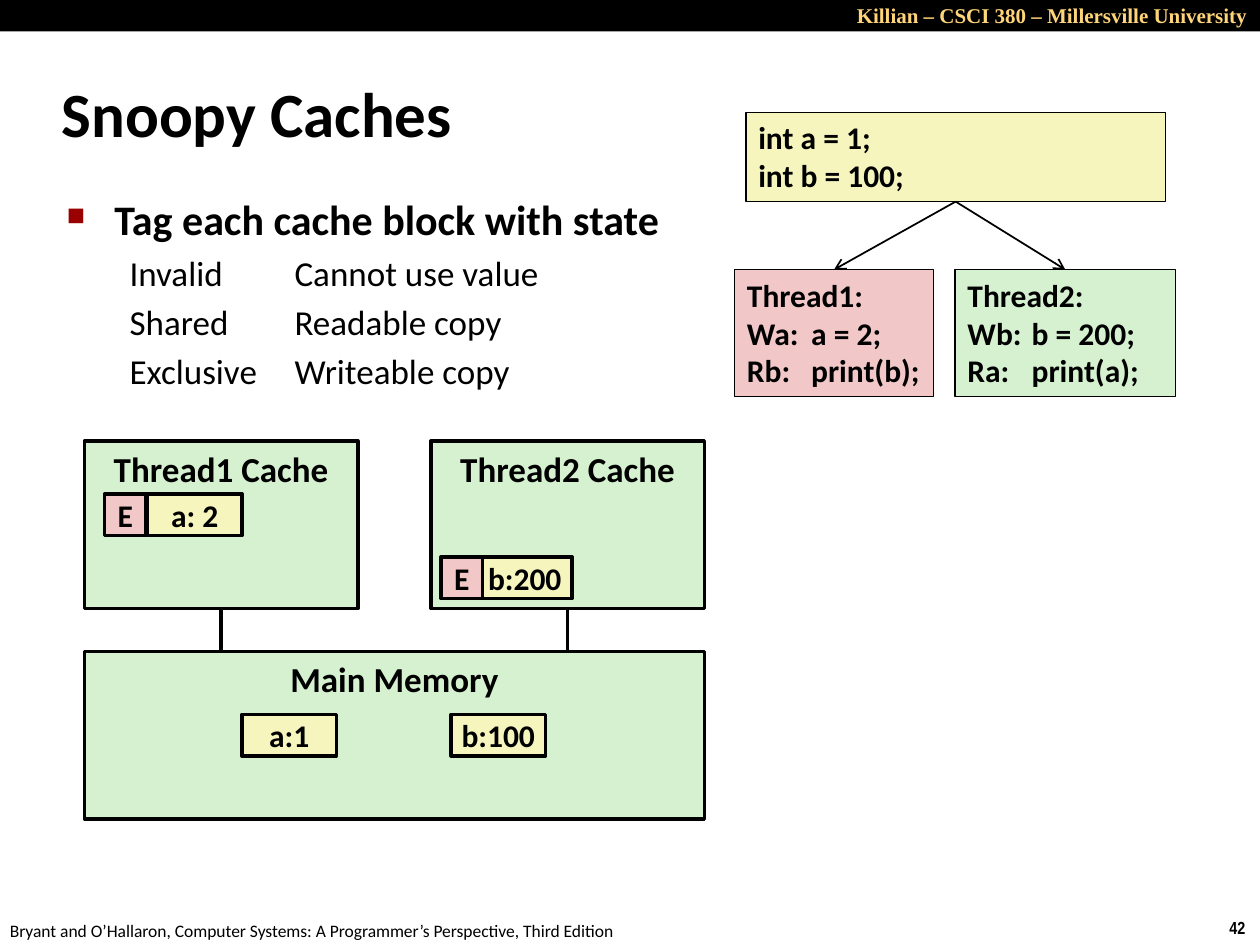
"""Build the slide on snoopy caches and their block states."""
import dataclasses
from typing import Any

import pptx
import pptx.dml.color
import pptx.enum.shapes
import pptx.enum.text
import pptx.oxml
import pptx.oxml.ns
import pptx.util

Inches = pptx.util.Inches
Pt = pptx.util.Pt
RGBColor = pptx.dml.color.RGBColor
Align = pptx.enum.text.PP_ALIGN
Anchor = pptx.enum.text.MSO_ANCHOR

BLACK = RGBColor(0x00, 0x00, 0x00)
GOLD = RGBColor(0xFF, 0xD5, 0x79)
GREEN = RGBColor(0xD5, 0xF1, 0xCF)
CREAM = RGBColor(0xF6, 0xF5, 0xBD)
PINK = RGBColor(0xF1, 0xC7, 0xC7)
CELL = 0.33
WORD = 0.75


@dataclasses.dataclass(frozen=True)
class Box:
    """A filled rectangle with its text and style."""

    left: float
    top: float
    width: float
    height: float
    text: str
    fill: RGBColor
    size: float = 18
    line: float = 2
    align: Any = Align.CENTER
    anchor: Any = Anchor.TOP
    wrap: bool = True
    tab: float = 0


def add_xml(node: Any, tag: str, **attrs: str) -> Any:
    """Append a drawing element with the given attributes."""
    item = pptx.oxml.parse_xml(f"<a:{tag} {pptx.oxml.ns.nsdecls('a')}/>")
    for key, value in attrs.items():
        item.set(key, value)
    node.append(item)
    return item


def write(frame: Any, text: str, *, size: float = 18, bold: bool = True,
          font: str = "Calibri", color: RGBColor = BLACK, align: Any = Align.LEFT,
          anchor: Any = Anchor.TOP, wrap: bool = True, tab: float = 0) -> None:
    """Fill a text frame, one paragraph to a line."""
    frame.word_wrap = wrap
    frame.vertical_anchor = anchor
    frame.auto_size = pptx.enum.text.MSO_AUTO_SIZE.NONE
    for num, line in enumerate(text.split("\n")):
        para = frame.paragraphs[0] if num == 0 else frame.add_paragraph()
        para.alignment = align
        run = para.add_run()
        run.text = line
        run.font.size = Pt(size)
        run.font.bold = bold
        run.font.name = font
        run.font.color.rgb = color
        if tab:
            tabs = add_xml(para._p.get_or_add_pPr(), "tabLst")
            add_xml(tabs, "tab", pos=str(Inches(tab)), algn="l")


def add_text(slide: Any, left: float, top: float, width: float, height: float,
             text: str, **style: Any) -> Any:
    """Add a text box and return its frame."""
    frame = slide.shapes.add_textbox(
        Inches(left), Inches(top), Inches(width), Inches(height)).text_frame
    write(frame, text, **style)
    return frame


def add_box(slide: Any, box: Box) -> Any:
    """Draw one rectangle."""
    shape = slide.shapes.add_shape(
        pptx.enum.shapes.MSO_SHAPE.RECTANGLE, Inches(box.left), Inches(box.top),
        Inches(box.width), Inches(box.height))
    shape.shadow.inherit = False
    shape.fill.solid()
    shape.fill.fore_color.rgb = box.fill
    if box.line:
        shape.line.color.rgb = BLACK
        shape.line.width = Pt(box.line)
    else:
        shape.line.fill.background()
    if box.text:
        write(shape.text_frame, box.text, size=box.size, align=box.align,
              anchor=box.anchor, wrap=box.wrap, tab=box.tab)
    return shape


def add_cell(slide: Any, left: float, top: float, text: str,
             width: float = WORD, fill: RGBColor = CREAM) -> None:
    """Draw one memory cell."""
    add_box(slide, Box(left, top, width, CELL, text, fill,
                       anchor=Anchor.MIDDLE, wrap=False))


def add_line(slide: Any, start: tuple[float, float], end: tuple[float, float],
             width: float) -> Any:
    """Draw a straight black line."""
    line = slide.shapes.add_connector(
        pptx.enum.shapes.MSO_CONNECTOR.STRAIGHT,
        *(Inches(num) for num in (*start, *end)))
    line.line.color.rgb = BLACK
    line.line.width = Pt(width)
    add_xml(line._element.spPr, "effectLst")
    return line


def add_frame(slide: Any) -> None:
    """Draw the header, the footer and the title."""
    add_text(slide, 9.66, 7.23, 0.34, 0.27, "42", size=10,
             font="Arial Narrow", wrap=False)
    add_text(slide, -0.02, 7.25, 5.08, 0.27,
             "Bryant and O’Hallaron, Computer Systems: "
             "A Programmer’s Perspective, Third Edition",
             size=10, bold=False, wrap=False)
    add_box(slide, Box(0, 0, 10, 0.25, "", BLACK, line=0))
    add_text(slide, 4.5, -0.03, 5.5, 0.3,
             "Killian – CSCI 380 – Millersville University", size=12,
             font="Times New Roman", color=GOLD, align=Align.RIGHT)
    title = slide.shapes.title
    title.left, title.top = Inches(0.39), Inches(0.48)
    title.width, title.height = Inches(8.3), Inches(0.83)
    write(title.text_frame, "Snoopy Caches", size=36, anchor=Anchor.MIDDLE)


def add_states(slide: Any) -> None:
    """List the block states under a bulleted heading."""
    frame = add_text(slide, 0.43, 1.49, 5.3, 1.75,
                     "Tag each cache block with state\n"
                     "Invalid\tCannot use value\n"
                     "Shared\tReadable copy\n"
                     "Exclusive\tWriteable copy", size=20)
    for num, para in enumerate(frame.paragraphs):
        para.space_before = Pt(4 if num else 4.8)
        props = para._p.get_or_add_pPr()
        left, hang = (0.81, 0.31) if num else (0.38, 0.38)
        props.set("marL", str(Inches(left)))
        props.set("indent", str(-Inches(hang)))
        props.set("defTabSz", str(Inches(1)))
        if num:
            para.runs[0].font.bold = False
        else:
            para.runs[0].font.size = Pt(24)
            add_xml(add_xml(props, "buClr"), "srgbClr", val="990000")
            add_xml(props, "buSzPct", val="60000")
            add_xml(props, "buChar", char="■")


def add_memory(slide: Any) -> None:
    """Draw main memory and the cache of each thread."""
    add_box(slide, Box(0.67, 5.17, 4.92, 1.33, "Main Memory", GREEN, size=20))
    add_cell(slide, 1.92, 5.67, "a:1")
    add_cell(slide, 3.58, 5.67, "b:100")
    for num, left in enumerate((0.67, 3.42), 1):
        cache = add_box(slide, Box(left, 3.5, 2.17, 1.33,
                                   f"Thread{num} Cache", GREEN, size=20))
        mid = left + 2.17 / 2
        add_line(slide, (mid, 5.17), (mid, 4.83), 2).end_connect(cache, 2)
    for tag, left, top, text in ((0.83, 1.17, 3.92, "a: 2"),
                                 (3.5, 3.79, 4.42, "b:200")):
        add_cell(slide, left, top, text)
        add_cell(slide, tag, top, "E", CELL, PINK)


def add_code(slide: Any) -> None:
    """Draw the shared code and the two threads it starts."""
    code = add_box(slide, Box(5.92, 0.89, 3.33, 0.71, "int a = 1;\nint b = 100;",
                              CREAM, line=0.75, align=Align.LEFT))
    for left, width, fill, text in (
            (5.83, 1.58, PINK, "Thread1:\nWa:\ta = 2;\nRb:\tprint(b);"),
            (7.58, 1.75, GREEN, "Thread2:\nWb:\tb = 200;\nRa:\tprint(a);")):
        thread = add_box(slide, Box(left, 2.14, width, 1.01, text, fill, line=0.75,
                                    align=Align.LEFT, tab=0.51))
        arrow = add_line(slide, (7.58, 1.6), (left + width / 2, 2.14), 1)
        arrow.begin_connect(code, 2)
        arrow.end_connect(thread, 0)
        add_xml(arrow.line._get_or_add_ln(), "tailEnd", type="arrow")


def main() -> None:
    """Build and save the slide."""
    deck = pptx.Presentation()
    deck.slide_width, deck.slide_height = Inches(10), Inches(7.5)
    slide = deck.slides.add_slide(deck.slide_layouts[5])
    add_frame(slide)
    add_states(slide)
    add_memory(slide)
    add_code(slide)
    deck.save("out.pptx")


if __name__ == "__main__":
    main()
